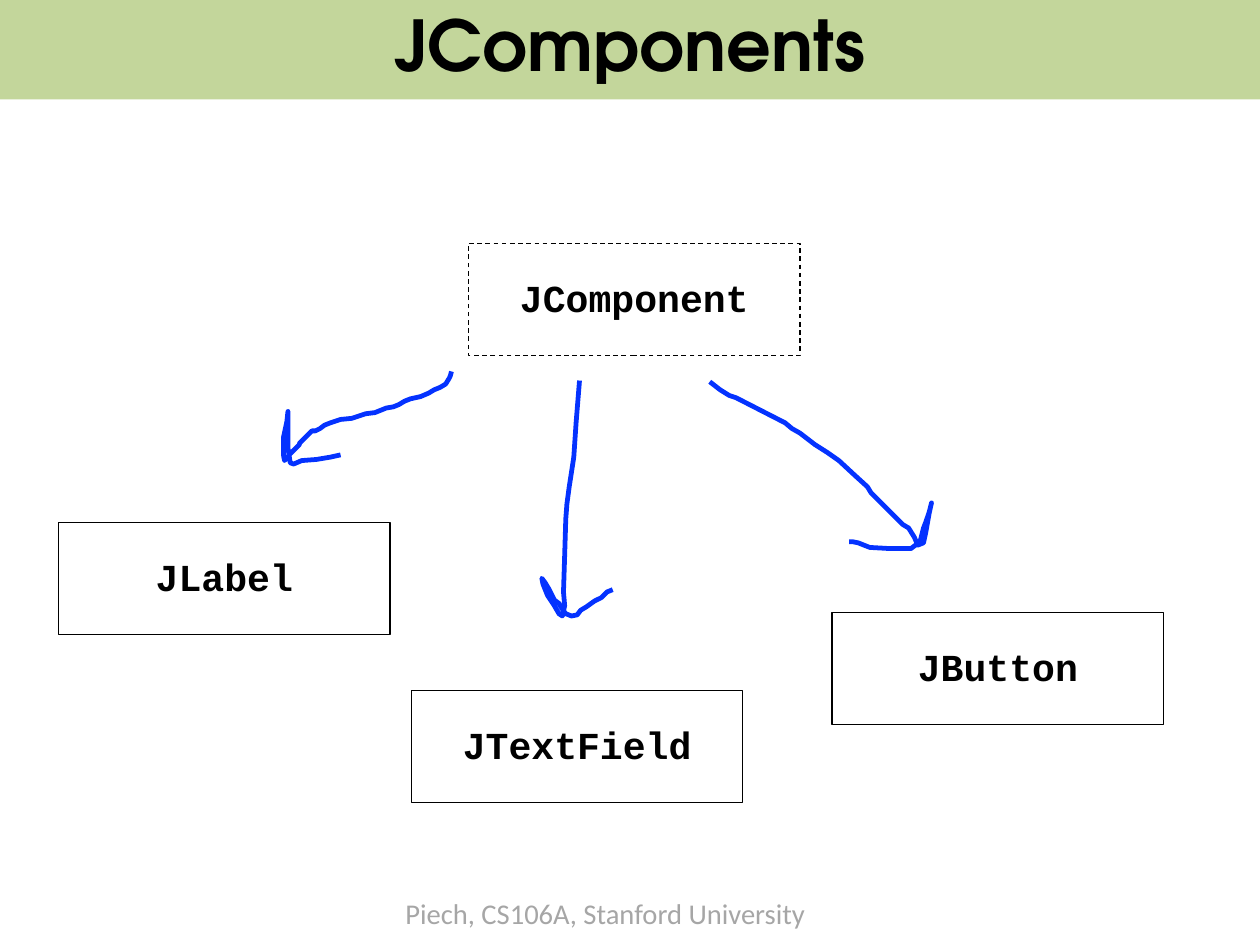
from pptx import Presentation
from pptx import util as u
from pptx.dml.color import RGBColor
from pptx.enum import dml, shapes, text

INK = {"band": "C3D69B", "pen": "0432FF", "text": "000000", "paper": "FFFFFF", "foot": "A6A6A6"}

NODES = [
    ("JComponent", 10.41, 5.41, True),
    ("JButton", 18.49, 13.61, False),
    ("JTextField", 9.14, 15.34, False),
    ("JLabel", 1.3, 11.61, False),
]

ARROWS = [
    [(395, 325), (394, 329), (393, 331), (390, 336), (385, 339), (380, 341), (375, 344),
     (368, 347), (359, 349), (354, 351), (349, 354), (344, 356), (338, 357), (328, 361),
     (320, 362), (314, 364), (308, 366), (298, 367), (289, 370), (284, 372), (280, 375),
     (276, 377), (273, 377), (266, 384), (262, 388), (262, 389), (259, 392), (254, 397),
     (249, 403), (248, 398), (248, 383), (251, 369), (252, 360), (252, 375), (252, 392),
     (254, 405), (257, 406), (264, 403), (277, 402), (289, 400), (298, 398)],
    [(507, 333), (504, 370), (502, 400), (498, 426), (496, 441), (495, 454), (494, 486),
     (493, 518), (494, 530), (492, 539), (489, 537), (485, 530), (479, 521), (475, 511),
     (474, 506), (477, 510), (480, 515), (485, 525), (489, 528), (492, 533), (495, 537),
     (500, 539), (505, 538), (508, 534), (513, 531), (520, 526), (526, 523), (531, 518),
     (536, 516)],
    [(621, 334), (630, 341), (638, 346), (644, 348), (687, 370), (693, 375), (700, 379),
     (713, 389), (724, 396), (734, 403), (748, 416), (759, 426), (762, 431), (769, 438),
     (777, 446), (785, 454), (790, 459), (795, 462), (800, 470), (803, 477), (808, 475),
     (810, 466), (813, 449), (815, 440), (813, 448), (810, 457), (808, 462), (805, 474),
     (797, 480), (779, 480), (761, 479), (751, 475), (746, 474), (743, 474)],
]


class Deck:
    """Holds the style and the current slide."""

    def __init__(self):
        self.prs = Presentation()
        self.prs.slide_width, self.prs.slide_height = u.Cm(28), u.Cm(21)
        self.slide = self.prs.slides.add_slide(self.prs.slide_layouts[5])

    def tint(self, part, ink):
        part.solid()
        part.fore_color.rgb = RGBColor.from_string(INK[ink])

    def label(self, shape, words, size, face, ink="text", bold=True, align=text.PP_ALIGN.CENTER):
        para = shape.text_frame.paragraphs[0]
        para.alignment, para.line_spacing = align, 0.93
        run = para.add_run()
        run.text = words
        font = run.font
        font.name, font.size, font.bold = face, u.Pt(size), bold
        self.tint(font.fill, ink)

    def title(self, words):
        band = self.slide.shapes.title
        band.left, band.top = u.Cm(0), u.Cm(-0.08)
        band.width, band.height = u.Cm(28), u.Cm(2.29)
        self.tint(band.fill, "band")
        frame = band.text_frame
        frame.auto_size = text.MSO_AUTO_SIZE.NONE
        frame.vertical_anchor = text.MSO_ANCHOR.MIDDLE
        self.label(band, words, 44.1, "TeX Gyre Adventor")

    def node(self, words, left, top, dashed):
        box = self.slide.shapes.add_shape(
            shapes.MSO_SHAPE.RECTANGLE, u.Cm(left), u.Cm(top), u.Cm(7.37), u.Cm(2.49))
        box.shadow.inherit = False
        self.tint(box.fill, "paper")
        self.tint(box.line.fill, "text")
        box.line.width = u.Pt(0.75)
        if dashed:
            box.line.dash_style = dml.MSO_LINE.DASH
        box.text_frame.word_wrap = False
        box.text_frame.vertical_anchor = text.MSO_ANCHOR.MIDDLE
        self.label(box, words, 24, "Courier New")

    def stroke(self, points):
        pen = self.slide.shapes.build_freeform(*points[0], scale=u.Cm(0.0254))
        pen.add_line_segments(points[1:], close=False)
        curve = pen.convert_to_shape()
        curve.shadow.inherit = False
        curve.fill.background()
        self.tint(curve.line.fill, "pen")
        curve.line.width = u.Pt(3)

    def footer(self, words):
        note = self.slide.shapes.add_textbox(u.Cm(8.76), u.Cm(19.86), u.Cm(9.5), u.Cm(0.97))
        note.text_frame.word_wrap = False
        note.text_frame.auto_size = text.MSO_AUTO_SIZE.SHAPE_TO_FIT_TEXT
        self.label(note, words, 18, "Calibri", "foot", False, text.PP_ALIGN.LEFT)


def main():
    deck = Deck()
    deck.title("JComponents")
    deck.footer("Piech, CS106A, Stanford University")
    for node in NODES:
        deck.node(*node)
    for points in ARROWS:
        deck.stroke(points)
    deck.prs.save("out.pptx")


if __name__ == "__main__":
    main()
